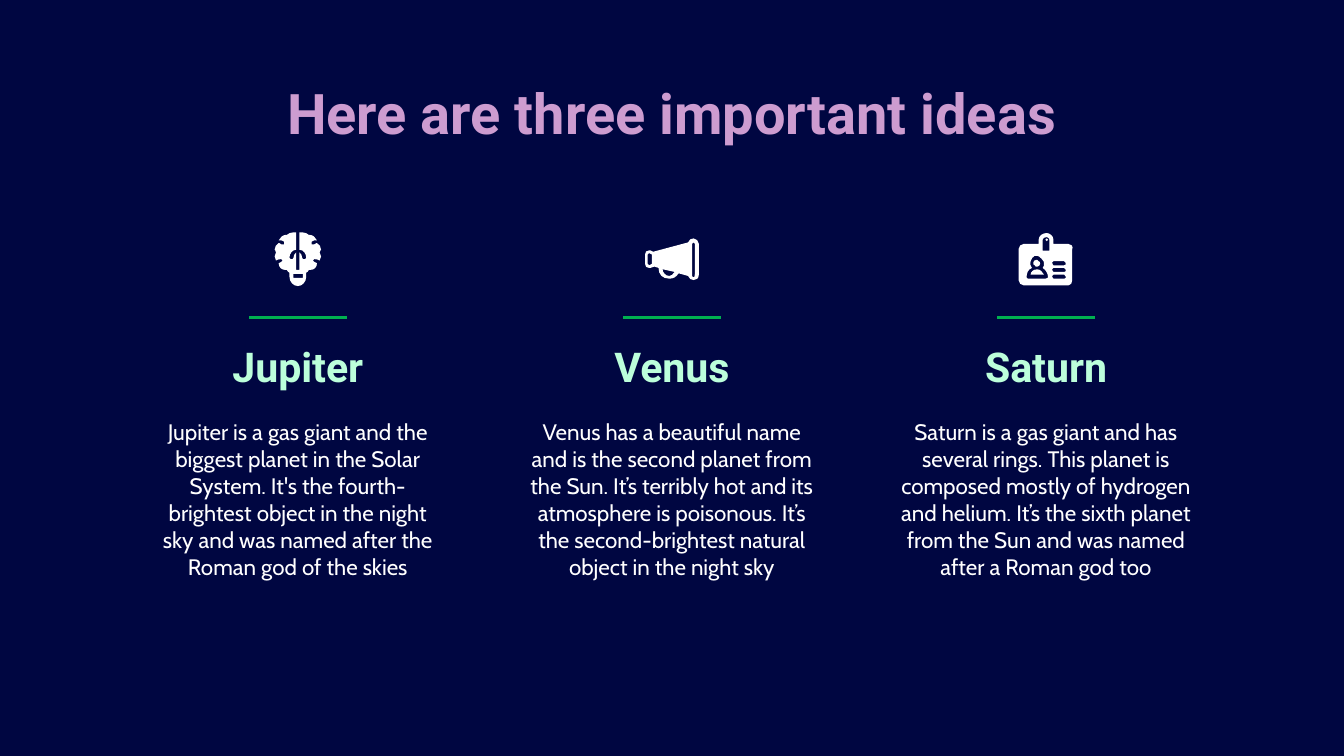
import pptx
import pptx.dml.color
import pptx.enum.shapes
import pptx.enum.text
import pptx.oxml.ns
import pptx.util
from lxml import etree

Cm = pptx.util.Cm
Pt = pptx.util.Pt
qn = pptx.oxml.ns.qn
ANCHOR = pptx.enum.text.MSO_ANCHOR

COLOURS = {
    "night": "000641",
    "lilac": "CD9CD0",
    "mint": "BCFFDB",
    "green": "00B050",
    "white": "FFFFFF",
}

# Column grid, in centimetres
MIDDLE = 12.7
PITCH = 7.07
COLUMN_WIDTH = 6.05
ICON_MIDDLE = 4.9
RULE_TOP = 6
RULE_WIDTH = 1.84

# Icon outlines: M move, L line, C curve; 100 units make one inch
UNIT = Cm(2.54) / 100

BRAIN_AXIS = 17.25
HALF_BRAIN = """M 17.25 28 L 16 28 L 16 15 C 15 16 14 17 14 19 C 14 20 13 20 12 20
    C 11 20 11 20 11 19 C 11 16 13 13 16 13 L 16 0 C 15 0 15 0 14 0
    C 12 0 10 1 9 2 L 8 2 C 6 2 4 4 3 6 C 5 6 6 6 7 7 C 7 8 7 9 7 9
    C 6 9 6 9 6 9 C 5 9 5 9 5 9 C 4 8 3 8 3 8 C 1 9 0 11 0 13
    C 0 13 1 14 1 15 C 1 16 0 17 0 18 C 0 19 1 20 1 21 C 2 20 4 20 5 20
    C 6 20 6 20 6 21 C 6 22 5 22 5 22 C 4 22 4 22 3 23 C 3 26 5 28 8 28
    L 9 28 C 10 29 10 30 11 30 L 11 33 C 11 37 14 40 17.25 40"""
BRAIN_BASE = "M 21 31 L 21 34 L 14 34 L 14 31"

MEGAPHONE = """M 3 11 L 5 12 L 5 19 L 3 20 C 3 20 2 20 2 19 L 2 12 C 2 12 3 11 3 11
    M 13 23 L 22 25 C 21 27 19 28 18 28 C 15 28 13 25 13 23
    M 36 3 C 37 3 37 3 37 4 L 37 27 C 37 28 37 29 36 29
    C 35 29 35 28 35 27 L 35 4 C 35 3 35 3 36 3
    M 36 0 C 34 0 33 1 32 3 L 6 10 L 4 9 C 4 9 3 9 3 9 C 1 9 0 10 0 12
    L 0 19 C 0 21 1 22 3 22 C 3 22 4 22 4 22 L 7 21 L 10 22
    C 10 27 13 30 18 30 C 21 30 23 29 25 26 L 32 28 C 33 30 34 31 36 31
    C 38 31 40 30 40 27 L 40 4 C 40 2 38 0 36 0"""

BADGE_CARD = """M 21 0 C 18 0 15 2 15 5 L 15 8 L 4 8 C 2 8 0 10 0 12 L 0 35
    C 0 37 2 39 4 39 L 37 39 C 39 39 40 37 40 35 L 40 12 C 41 10 39 8 37 8
    L 26 8 L 26 5 C 26 2 23 0 21 0
    M 21 3 C 22 3 23 4 23 5 L 23 13 L 18 13 L 18 5 C 18 4 19 3 21 3
    M 14 17 C 15 17 16 18 17 19 C 19 20 19 22 19 24 C 19 25 18 25 18 26
    C 20 27 22 30 22 33 C 22 33 21 34 20 34 L 7 34 C 6 34 6 33 6 33
    C 6 30 7 27 10 26 C 9 24 8 23 9 21 C 9 19 11 18 12 17 C 13 17 13 17 14 17"""
BADGE_LINE = "M 34 {0} C 35 {0} 35 {1} 35 {1} C 36 {2} 35 {3} 34 {3} L 26 {3} " \
             "C 26 {3} 25 {2} 25 {1} C 25 {0} 26 {0} 26 {0}"
BADGE_SHOULDERS = "M 14 27 C 11 27 9 29 9 31 L 19 31 C 18 29 16 27 14 27"
BADGE_HEAD = """M 14 20 C 13 20 13 20 13 20 C 12 20 11 21 11 22 C 11 23 11 24 12 24
    C 12 25 13 25 14 25 C 15 25 16 24 16 23 C 16 22 16 21 15 21 C 15 20 14 20 14 20"""
BADGE_DOT = "M 21 4 C 20 4 20 5 20 5 C 20 6 20 6 21 6 C 21 6 22 6 22 5 C 22 5 21 4 21 4"


def rgb(name):
    return pptx.dml.color.RGBColor.from_string(COLOURS[name])


def trace(outline):
    """Split an outline into contours of points and commands."""
    contours = []
    tokens = iter(outline.split())
    for command in tokens:
        count = 3 if command == "C" else 1
        points = [(float(next(tokens)), float(next(tokens))) for _ in range(count)]
        if command == "M":
            contours.append((points, []))
        else:
            contours[-1][0].extend(points)
            contours[-1][1].append(command)
    return contours


def brain():
    points, commands = trace(HALF_BRAIN)[0]
    mirrored = [(2 * BRAIN_AXIS - x, y) for x, y in reversed(points[:-1])]
    return [[(points + mirrored, commands + commands[::-1])] + trace(BRAIN_BASE)]


def badge():
    lines = [BADGE_LINE.format(top, top + 1, top + 2, top + 3) for top in (21, 26, 31)]
    card = " ".join([BADGE_CARD] + lines)
    return [trace(part) for part in (BADGE_SHOULDERS, BADGE_HEAD, card, BADGE_DOT)]


def bend(shape, commands):
    """Merge each curve's three line segments into one Bezier segment."""
    segments = iter(list(shape._element.iter(qn("a:lnTo"))))
    for command in commands:
        first = next(segments)
        if command == "C":
            first.tag = qn("a:cubicBezTo")
            for _ in range(2):
                extra = next(segments)
                first.append(extra[0])
                extra.getparent().remove(extra)


def add_outline(shapes, contours, left, top):
    scaled = [[(x * UNIT, y * UNIT) for x, y in points] for points, _ in contours]
    builder = shapes.build_freeform(*scaled[0][0])
    builder.add_line_segments(scaled[0][1:])
    for points in scaled[1:]:
        builder.move_to(*points[0])
        builder.add_line_segments(points[1:])
    outline = builder.convert_to_shape(left, top)
    bend(outline, [command for _, commands in contours for command in commands])
    outline.shadow.inherit = False
    outline.fill.solid()
    outline.fill.fore_color.rgb = rgb("white")
    outline.line.fill.background()


def add_icon(page, parts, centre):
    corners = [point for contours in parts for points, _ in contours for point in points]
    width, height = (max(values) * UNIT for values in zip(*corners))
    shapes = page.shapes if len(parts) == 1 else page.shapes.add_group_shape().shapes
    for contours in parts:
        add_outline(shapes, contours, round(Cm(centre) - width / 2),
                    round(Cm(ICON_MIDDLE) - height / 2))


def add_rule(page, centre):
    rule = page.shapes.add_connector(
        pptx.enum.shapes.MSO_CONNECTOR.STRAIGHT,
        Cm(centre - RULE_WIDTH / 2), Cm(RULE_TOP),
        Cm(centre + RULE_WIDTH / 2), Cm(RULE_TOP))
    rule.line.color.rgb = rgb("green")
    rule.line.width = Pt(1.5)
    etree.SubElement(rule._element.spPr, qn("a:effectLst"))


def write(box, text, font, size, colour, bold=False, anchor=ANCHOR.TOP):
    frame = box.text_frame
    frame.word_wrap = True
    frame.auto_size = pptx.enum.text.MSO_AUTO_SIZE.NONE
    frame.vertical_anchor = anchor
    frame.margin_left = frame.margin_right = Cm(0.25)
    frame.margin_top = frame.margin_bottom = Cm(0.25)
    frame.text = text
    para = frame.paragraphs[0]
    para.alignment = pptx.enum.text.PP_ALIGN.CENTER
    para.font.name = font
    para.font.size = Pt(size)
    para.font.bold = bold
    para.font.color.rgb = rgb(colour)


def add_column_box(page, centre, top, height):
    return page.shapes.add_textbox(
        Cm(centre - COLUMN_WIDTH / 2), Cm(top), Cm(COLUMN_WIDTH), Cm(height))


def add_title(page, text):
    title = page.shapes.title
    title.left, title.top = Cm(2), Cm(1.24)
    title.width, title.height = Cm(21.4), Cm(1.6)
    write(title, text, "Roboto", 30, "lilac", bold=True)


def main():
    deck = pptx.Presentation()
    deck.slide_width, deck.slide_height = Cm(25.4), Cm(14.29)
    page = deck.slides.add_slide(deck.slide_layouts.get_by_name("Title Only"))
    page.background.fill.solid()
    page.background.fill.fore_color.rgb = rgb("night")

    add_title(page, "Here are three important ideas")

    # One column per planet
    ideas = [
        (brain(), "Jupiter",
         "Jupiter is a gas giant and the biggest planet in the Solar System. It's the "
         "fourth-brightest object in the night sky and was named after the Roman god "
         "of the skies"),
        ([trace(MEGAPHONE)], "Venus",
         "Venus has a beautiful name and is the second planet from the Sun. It’s "
         "terribly hot and its atmosphere is poisonous. It’s the second-brightest "
         "natural object in the night sky"),
        (badge(), "Saturn",
         "Saturn is a gas giant and has several rings. This planet is composed mostly "
         "of hydrogen and helium. It’s the sixth planet from the Sun and was named "
         "after a Roman god too"),
    ]
    for column, (icon, name, description) in enumerate(ideas):
        centre = MIDDLE + (column - 1) * PITCH
        write(add_column_box(page, centre, 7.66, 4.2), description, "Cabin", 12, "white")
        write(add_column_box(page, centre, 6.32, 1.32), name,
              "Roboto", 22, "mint", bold=True, anchor=ANCHOR.BOTTOM)
        add_rule(page, centre)
        add_icon(page, icon, centre)

    deck.save("out.pptx")


if __name__ == "__main__":
    main()
